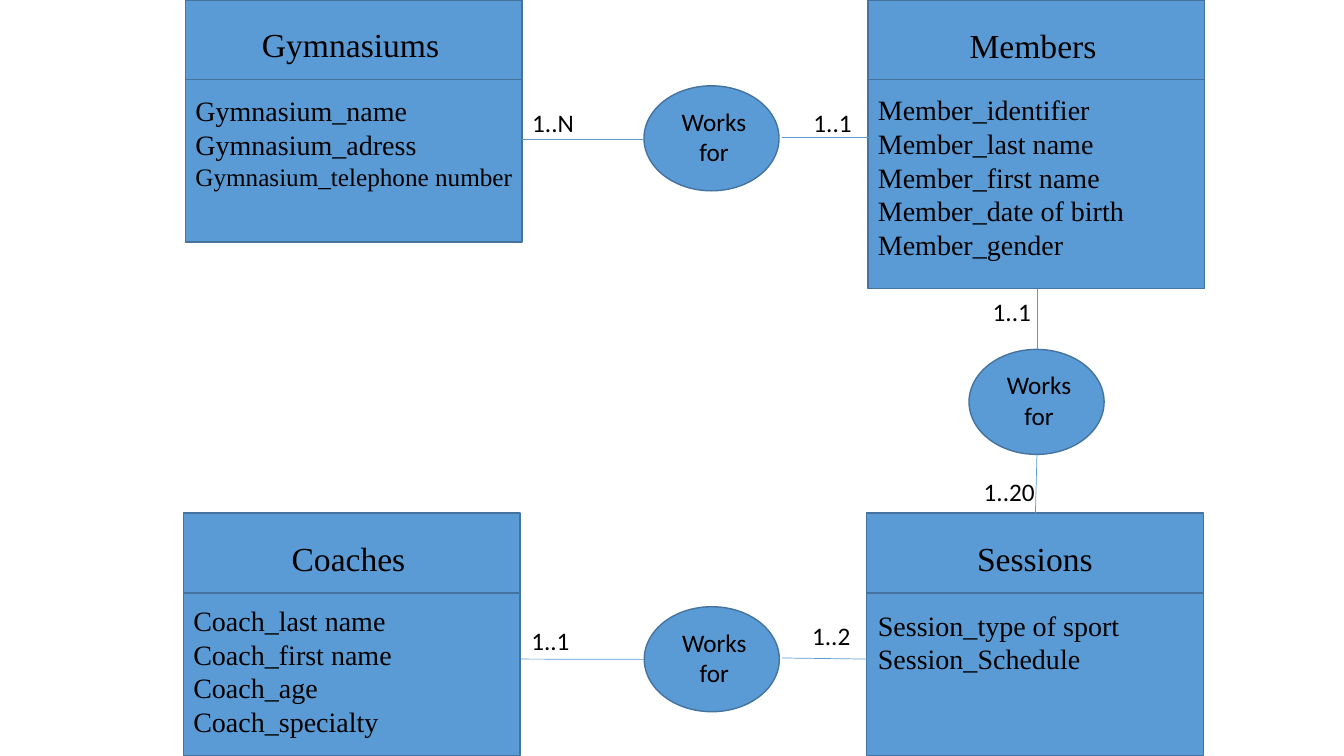
import pptx
import pptx.dml.color
import pptx.enum.shapes
import pptx.enum.text
import pptx.oxml.ns
import pptx.util
from lxml import etree

Pt = pptx.util.Pt
SHAPE = pptx.enum.shapes.MSO_SHAPE
ALIGN = pptx.enum.text.PP_ALIGN


def rgb(value):
    return pptx.dml.color.RGBColor.from_string(value)


class Diagram:
    """Entity-relationship diagram on one slide, measured in points."""

    FILL, EDGE, LINK, INK = "5B9BD5", "43739E", "5B9BD5", "000000"
    SERIF, SANS = "Times New Roman", "Calibri"
    BOX_W, HEAD_H = 240.5, 57
    OVAL_W, OVAL_H = 96.5, 75

    def __init__(self, slide):
        self.shapes = slide.shapes

    def shape(self, kind, x, y, w, h):
        sp = self.shapes.add_shape(kind, Pt(x), Pt(y), Pt(w), Pt(h))
        sp.shadow.inherit = False
        sp.fill.solid()
        sp.fill.fore_color.rgb = rgb(self.FILL)
        sp.line.color.rgb = rgb(self.EDGE)
        sp.line.width = Pt(1)

    def text(self, x, y, w, h, lines, font, align=ALIGN.LEFT, right_inset=7.2):
        """Write lines given as (text, size) pairs."""
        tf = self.shapes.add_textbox(Pt(x), Pt(y), Pt(w), Pt(h)).text_frame
        tf.word_wrap = True
        tf.margin_right = Pt(right_inset)
        for i, (words, size) in enumerate(lines):
            p = tf.paragraphs[0] if i == 0 else tf.add_paragraph()
            p.alignment = align
            r = p.add_run()
            r.text = words
            for name, value in {"name": font, "size": Pt(size)}.items():
                setattr(r.font, name, value)
            r.font.color.rgb = rgb(self.INK)

    def entity(self, x, y, body_h, title, title_dy, title_inset,
               attrs, attrs_x, attrs_y, attrs_w, attrs_h):
        self.shape(SHAPE.RECTANGLE, x, y, self.BOX_W, self.HEAD_H)
        self.shape(SHAPE.RECTANGLE, x, y + self.HEAD_H, self.BOX_W, body_h)
        self.text(x, y + title_dy, self.BOX_W, 36, [(title, 24)],
                  self.SERIF, ALIGN.CENTER, title_inset)
        self.text(attrs_x, attrs_y, attrs_w, attrs_h, attrs, self.SERIF)

    def relation(self, x, y):
        self.shape(SHAPE.OVAL, x, y, self.OVAL_W, self.OVAL_H)
        self.text(x + 1.8, y + 11, self.OVAL_W, 51,
                  [("Works", 18), ("for", 18)], self.SANS, ALIGN.CENTER)

    def link(self, x1, y1, x2, y2):
        cn = self.shapes.add_connector(
            pptx.enum.shapes.MSO_CONNECTOR.STRAIGHT,
            Pt(x1), Pt(y1), Pt(x2), Pt(y2))
        cn.line.color.rgb = rgb(self.LINK)
        cn.line.width = Pt(0.5)
        etree.SubElement(cn._element.spPr, pptx.oxml.ns.qn("a:effectLst"))

    def cardinality(self, x, y, label):
        self.text(x, y, 65, 29, [(label, 18)], self.SANS)


# x, y, body height, title, title drop, title right inset,
# attributes, attributes x, y, width, height
ENTITIES = [
    (132.5, 0, 116, "Gymnasiums", 13.7, 11.7,
     [("Gymnasium_name", 20), ("Gymnasium_adress", 20),
      ("Gymnasium_telephone number", 18)], 132.5, 63.4, 257, 78),
    (620, 0, 149, "Members", 14.2, 11.7,
     [("Member_identifier", 20), ("Member_last name", 20),
      ("Member_first name", 20), ("Member_date of birth", 20),
      ("Member_gender", 20)], 620, 62.8, 240.5, 128),
    (619, 366.5, 116, "Sessions", 14.2, 7.2,
     [("Session_type of sport", 20), ("Session_Schedule", 20)],
     620, 430.8, 240.5, 80),
    (131, 366.5, 116, "Coaches", 14.2, 11.7,
     [("Coach_last name", 20), ("Coach_first name", 20),
      ("Coach_age", 20), ("Coach_specialty", 20)], 131, 427.6, 257, 104),
]
RELATIONS = [(460, 61.3), (692.2, 249.6), (460.2, 433.4)]
LINKS = [
    (460, 99.2, 373, 99.2), (558.7, 98.2, 622, 98.2),
    (740.7, 206.6, 740.7, 249.6), (739.6, 366.5, 740.7, 324.6),
    (558.7, 470, 620, 470.8), (460, 471, 372, 470.8),
]
CARDINALITIES = [
    (373, 73, "1..N"), (574, 73, "1..1"),
    (702, 208.4, "1..1"), (695.6, 336.4, "1..20"),
    (573, 439.4, "1..2"), (372.4, 443, "1..1"),
]


def main():
    prs = pptx.Presentation()
    prs.slide_width, prs.slide_height = Pt(960), Pt(540)
    s = prs.slides.add_slide(prs.slide_layouts[6])
    diagram = Diagram(s)
    for draw, rows in ((diagram.entity, ENTITIES),
                       (diagram.relation, RELATIONS),
                       (diagram.link, LINKS),
                       (diagram.cardinality, CARDINALITIES)):
        for row in rows:
            draw(*row)
    prs.save("out.pptx")


if __name__ == "__main__":
    main()
